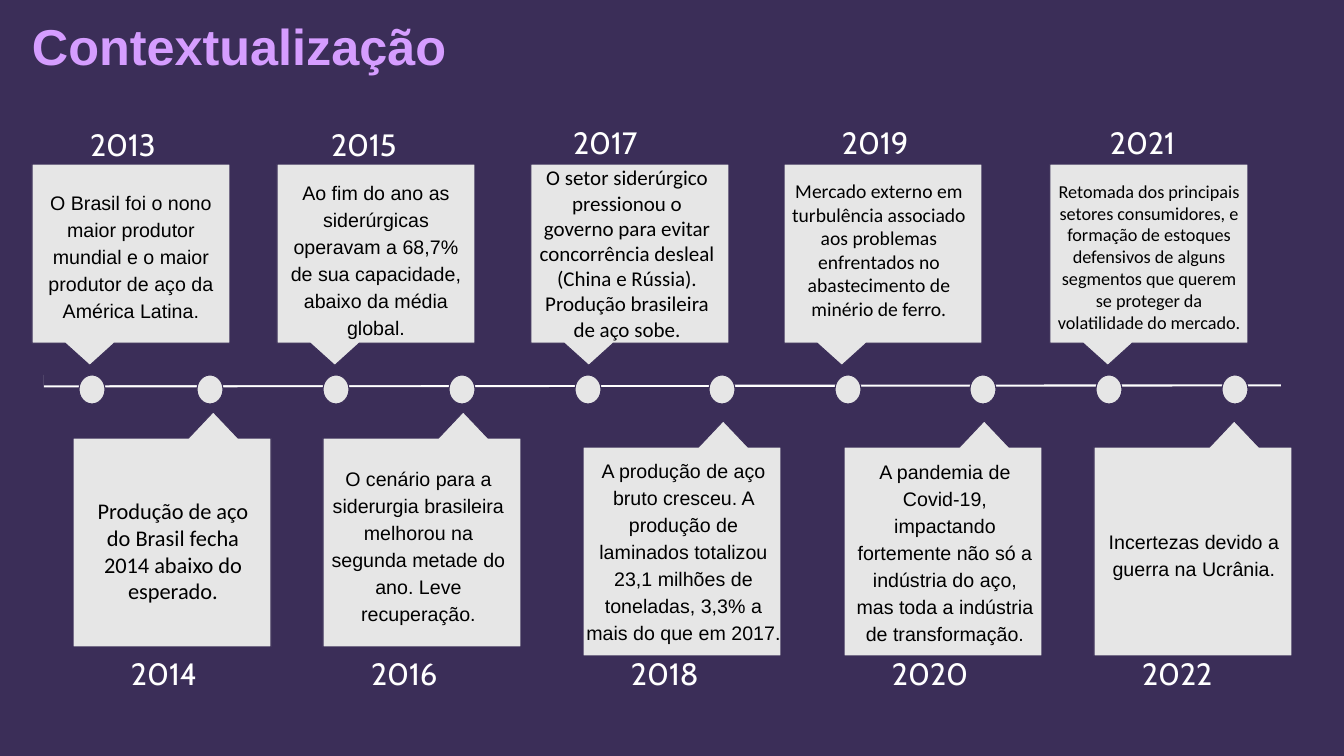
from lxml.etree import SubElement
from pptx import Presentation
from pptx.dml.color import RGBColor
from pptx.enum.shapes import MSO_CONNECTOR, MSO_SHAPE
from pptx.enum.text import MSO_ANCHOR, MSO_AUTO_SIZE, PP_ALIGN
from pptx.oxml.ns import qn
from pptx.util import Pt

PX = 914400 / 100.8
BACKGROUND, PANEL, WHITE, LILAC, BLACK = "3B2E58", "E6E6E6", "FFFFFF", "D59DFF", "000000"


def paint(color_format, color):
    color_format.rgb = RGBColor.from_string(color)


def write(shape, lines, font, size, color, align, inset=0, prose=False, bold=False):
    frame = shape.text_frame
    frame.word_wrap = True
    frame.auto_size = MSO_AUTO_SIZE.NONE
    frame.margin_left = frame.margin_right = frame.margin_top = frame.margin_bottom = round(inset * PX)
    for index, line in enumerate(lines):
        paragraph = frame.add_paragraph() if index else frame.paragraphs[0]
        paragraph.alignment = align
        if prose:
            paragraph.line_spacing = 1.15
            paragraph.space_before = paragraph.space_after = Pt(12)
        run = paragraph.add_run()
        run.text = line
        run.font.name, run.font.size, run.font.bold = font, Pt(size), bold
        paint(run.font.color, color)


presentation = Presentation()
presentation.slide_width, presentation.slide_height = round(1344 * PX), round(756 * PX)
slide = presentation.slides.add_slide(presentation.slide_layouts[5])
slide.background.fill.solid()
paint(slide.background.fill.fore_color, BACKGROUND)

# Title
title = slide.shapes.title
title.left, title.top, title.width, title.height = [round(v * PX) for v in (32, 15, 1008, 61)]
title.text_frame.vertical_anchor = MSO_ANCHOR.BOTTOM
write(title, ["Contextualização"], "Arial", 36, LILAC, PP_ALIGN.LEFT, bold=True)

# Time axis: a line in the background colour whose white shadow shows below it
axis = slide.shapes.add_connector(
    MSO_CONNECTOR.STRAIGHT, *[round(v * PX) for v in (44, 379, 1281, 378)])
paint(axis.line.color, BACKGROUND)
axis.line.width = Pt(9)
effects = SubElement(axis._element.spPr, qn("a:effectLst"))
shadow = SubElement(effects, qn("a:outerShdw"), dist=str(Pt(1.5)), dir="5400000",
                    algn="t", rotWithShape="0")
SubElement(shadow, qn("a:srgbClr"), val=WHITE)

# Markers on the axis and callouts above (odd years) and below (even years)
marker_lefts = [79, 197, 323, 449, 575, 709, 835, 970, 1096, 1222]
callouts = [(32, 164), (73, 438), (277, 164), (323, 438), (531, 164),
            (583, 447), (784, 164), (844, 447), (1050, 164), (1094, 447)]
outlines = [(MSO_SHAPE.OVAL, left, 375, 26, 29, 0) for left in marker_lefts]
for index, (left, top) in enumerate(callouts):
    below = index % 2
    outlines.append((MSO_SHAPE.RECTANGULAR_CALLOUT, left, top, 198,
                     209 if below else 179, 180 * below))

for kind, left, top, width, height, rotation in outlines:
    outline = slide.shapes.add_shape(kind, *[round(v * PX) for v in (left, top, width, height)])
    outline.shadow.inherit = False
    outline.rotation = rotation
    outline.fill.solid()
    paint(outline.fill.fore_color, PANEL)
    paint(outline.line.color, BACKGROUND)
    outline.line.width = Pt(0.75)
    if kind == MSO_SHAPE.RECTANGULAR_CALLOUT:
        outline.adjustments[0], outline.adjustments[1] = -0.208, 0.625

# Years: first 2013, one per callout
year_places = [(90, 126), (131, 655), (331, 126), (371, 655), (573, 124),
               (631, 655), (842, 124), (892, 655), (1110, 124), (1142, 655)]
for year, (left, top) in enumerate(year_places, 2013):
    label = slide.shapes.add_textbox(*[round(v * PX) for v in (left, top, 101, 37)])
    write(label, [str(year)], "Cabin", 22, WHITE, PP_ALIGN.LEFT)

# Events: box, font, size, paragraphs
events = [
    ((32, 177, 198, 153), "Arial", 14,
     ["O Brasil foi o nono maior produtor mundial e o maior produtor de aço da América Latina."]),
    ((75, 487, 196, 129), "Calibri", 16,
     ["Produção de aço", "do Brasil fecha 2014 abaixo do esperado."]),
    ((278, 167, 196, 180), "Arial", 14,
     ["Ao fim do ano as siderúrgicas operavam a 68,7% de sua capacidade, "
      "abaixo da média global."]),
    ((316, 453, 205, 180), "Arial", 14,
     ["O cenário para a siderurgia brasileira melhorou na segunda metade do ano. "
      "Leve recuperação."]),
    ((529, 155, 196, 199), "Calibri", 15,
     ["O setor siderúrgico pressionou o governo para evitar concorrência desleal "
      "(China e Rússia). Produção brasileira de aço sobe."]),
    ((573, 445, 221, 208), "Arial", 14,
     ["A produção de aço bruto cresceu. A produção de laminados totalizou "
      "23,1 milhões de toneladas, 3,3% a mais do que em 2017."]),
    ((780, 169, 198, 163), "Calibri", 14,
     ["Mercado externo em turbulência associado aos problemas enfrentados "
      "no abastecimento de minério de ferro."]),
    ((846, 446, 198, 208), "Arial", 14,
     ["A pandemia de Covid-19, impactando fortemente não só a indústria do aço, "
      "mas toda a indústria de transformação."]),
    ((1042, 170, 214, 174), "Calibri", 13,
     ["Retomada dos principais setores consumidores, e formação de estoques defensivos "
      "de alguns segmentos que querem se proteger da volatilidade do mercado."]),
    ((1096, 516, 196, 72), "Arial", 14,
     ["Incertezas devido a guerra na Ucrânia."]),
]
for box, font, size, lines in events:
    event = slide.shapes.add_textbox(*[round(v * PX) for v in box])
    write(event, lines, font, size, BLACK, PP_ALIGN.CENTER, inset=10, prose=font == "Arial")

presentation.save("out.pptx")
